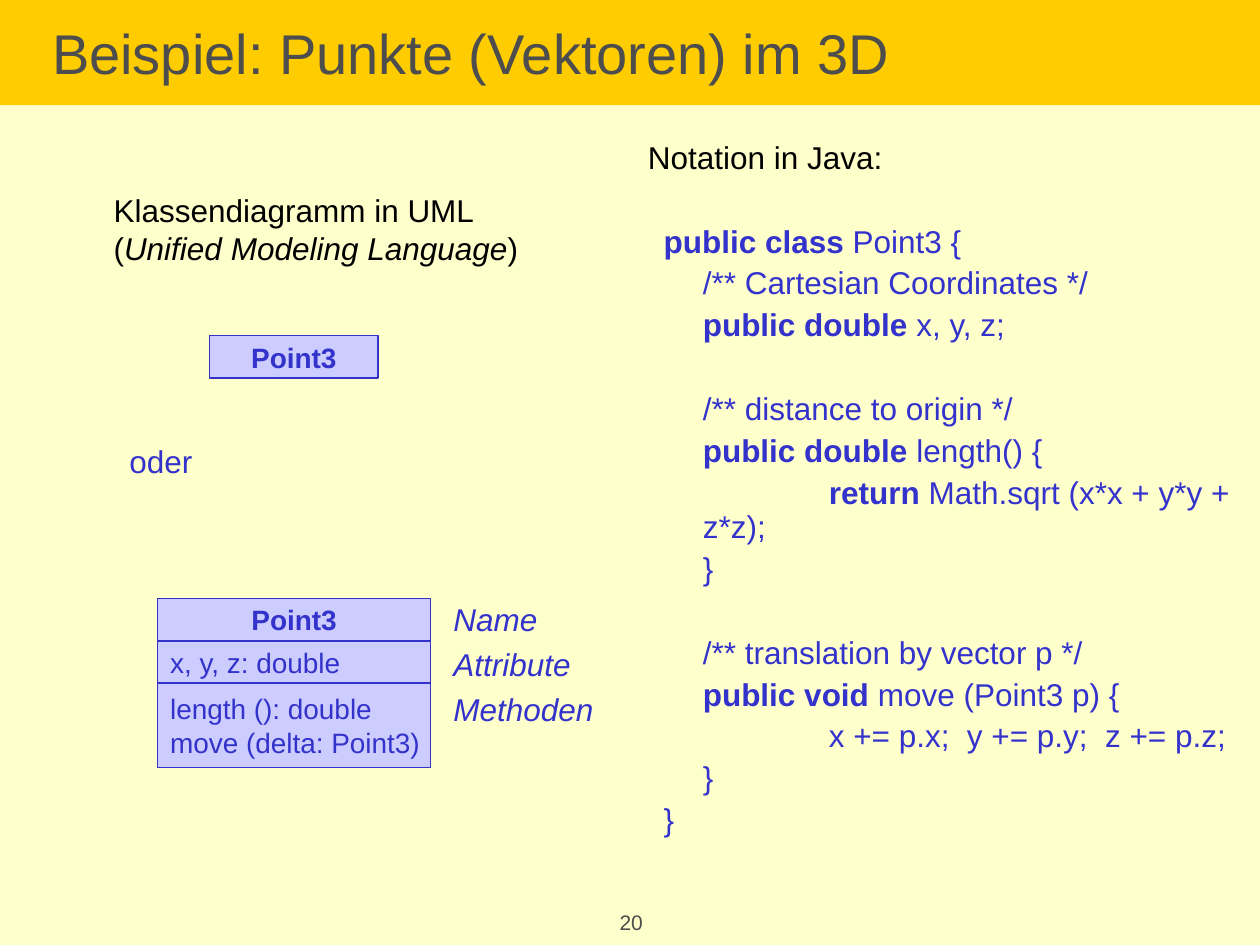
from dataclasses import dataclass
from typing import Optional

from pptx import Presentation
from pptx.dml.color import RGBColor
from pptx.enum.shapes import MSO_SHAPE as Shape
from pptx.enum.text import MSO_ANCHOR as Anchor, MSO_AUTO_SIZE as AutoSize, PP_ALIGN as Align
from pptx.util import Cm, Pt

CREAM = RGBColor(0xFF, 0xFF, 0xCC)
GOLD = RGBColor(0xFF, 0xCC, 0x00)
GRAY = RGBColor(0x4D, 0x4D, 0x4D)
BLACK = RGBColor(0x00, 0x00, 0x00)
BLUE = RGBColor(0x33, 0x33, 0xCC)
LAVENDER = RGBColor(0xCC, 0xCC, 0xFF)

ROW = 0.85        # height of one text row in a class box, cm
GAP = 4.5         # space before a paragraph, pt
BLANK_GAP = 28.4  # the same after a skipped line, pt


@dataclass
class Run:
    text: str
    bold: bool = False
    italic: bool = False


@dataclass
class Line:
    runs: list[Run]
    color: RGBColor = BLUE
    size: float = 18
    margin: float = 0        # cm
    first_indent: float = 0  # cm
    before: float = 0        # pt
    spacing: Optional[float] = None
    align: Align = Align.LEFT


@dataclass
class Box:
    left: float
    top: float
    width: float
    height: float

    def lengths(self) -> tuple:
        return Cm(self.left), Cm(self.top), Cm(self.width), Cm(self.height)


def write(frame, lines: list[Line]) -> None:
    """Fill a text frame with formatted lines."""
    for number, line in enumerate(lines):
        paragraph = frame.add_paragraph() if number else frame.paragraphs[0]
        layout = {"alignment": line.align, "space_before": Pt(line.before),
                  "line_spacing": line.spacing}
        for name, value in layout.items():
            setattr(paragraph, name, value)
        properties = paragraph._p.get_or_add_pPr()
        properties.set("marL", str(Cm(line.margin)))
        properties.set("indent", str(Cm(line.first_indent)))
        for part in line.runs:
            if part.text == "\n":
                paragraph.add_line_break()
                continue
            run = paragraph.add_run()
            run.text = part.text
            font = {"name": "Arial", "size": Pt(line.size),
                    "bold": part.bold, "italic": part.italic}
            for name, value in font.items():
                setattr(run.font, name, value)
            run.font.color.rgb = line.color


def add_text(shapes, box: Box, lines: list[Line], wrap: bool = True) -> None:
    frame = shapes.add_textbox(*box.lengths()).text_frame
    frame.word_wrap = wrap
    write(frame, lines)


def add_class_row(shapes, box: Box, lines: list[Line]) -> None:
    shape = shapes.add_shape(Shape.RECTANGLE, *box.lengths())
    shape.shadow.inherit = False
    shape.fill.solid()
    shape.fill.fore_color.rgb = LAVENDER
    shape.line.color.rgb = BLUE
    shape.line.width = Pt(0.75)
    shape.text_frame.word_wrap = False
    shape.text_frame.vertical_anchor = Anchor.MIDDLE
    write(shape.text_frame, lines)


def code(level: int, keyword: str, rest: str, before: float = GAP) -> Line:
    """One line of source; wrapped text falls back to the method margin."""
    margin = 2.06 if level else 1.27
    return Line([Run(keyword, bold=True), Run(rest)] if keyword else [Run(rest)],
                margin=margin, first_indent=2.54 if level == 2 else 0,
                before=before, spacing=0.9)


def main() -> None:
    presentation = Presentation()
    presentation.slide_width, presentation.slide_height = Cm(25.4), Cm(19.05)
    slide = presentation.slides.add_slide(presentation.slide_layouts[5])
    slide.background.fill.solid()
    slide.background.fill.fore_color.rgb = CREAM

    # Title band
    title = slide.shapes.title
    title.left, title.top, title.width, title.height = Box(0, 0, 25.4, 2.12).lengths()
    title.fill.solid()
    title.fill.fore_color.rgb = GOLD
    frame_format = {"vertical_anchor": Anchor.MIDDLE, "margin_left": Cm(1.05),
                    "auto_size": AutoSize.NONE}
    for name, value in frame_format.items():
        setattr(title.text_frame, name, value)
    write(title.text_frame, [Line([Run("Beispiel: Punkte (Vektoren) im 3D")], GRAY, 32)])

    # Left column
    add_text(slide.shapes, Box(1.09, 3.73, 11.4, 12.27), [
        Line([Run("Klassendiagramm in UML"), Run("\n"), Run("("),
              Run("Unified Modeling Language", italic=True), Run(")")],
             BLACK, margin=0.95, before=GAP),
        Line([Run("oder")], margin=1.27, before=100),
    ])

    # Java notation
    add_text(slide.shapes, Box(11.86, 2.74, 13.54, 14.4), [
        Line([Run("Notation in Java:")], BLACK, margin=0.95, before=GAP, spacing=0.9),
        code(0, "public class", " Point3 {", BLANK_GAP),
        code(1, "", "/** Cartesian Coordinates */"),
        code(1, "public double", " x, y, z;"),
        code(1, "", "/** distance to origin */", BLANK_GAP),
        code(1, "public double", " length() {"),
        code(2, "return", " Math.sqrt (x*x + y*y + z*z);"),
        code(1, "", "}"),
        code(1, "", "/** translation by vector p */", BLANK_GAP),
        code(1, "public void", " move (Point3 p) {"),
        code(2, "", "x += p.x;  y += p.y;  z += p.z;"),
        code(1, "", "}"),
        code(0, "", "}"),
    ])

    # Short class diagram
    class_name = Line([Run("Point3", bold=True)], size=16, align=Align.CENTER)
    add_class_row(slide.shapes, Box(4.23, 6.77, 3.39, ROW), [class_name])

    # Full class diagram with row labels
    diagram = slide.shapes.add_group_shape().shapes
    top = 12.07
    attributes = [Line([Run("x, y, z: double")], size=16)]
    methods = [Line([Run(text)], size=16)
               for text in ("length (): double", "move (delta: Point3)")]
    for lines in ([class_name], attributes, methods):
        height = ROW * len(lines)
        add_class_row(diagram, Box(3.18, top, 5.5, height), lines)
        top += height
    add_text(diagram, Box(8.89, 11.81, 3.33, 3),
             [Line([Run(text, italic=True)], spacing=1.2)
              for text in ("Name", "Attribute", "Methoden")], wrap=False)

    # Page number
    add_text(slide.shapes, Box(11.15, 18.21, 3.15, 0.84),
             [Line([Run("20")], GRAY, 12, align=Align.CENTER)])

    presentation.save("out.pptx")


if __name__ == "__main__":
    main()
